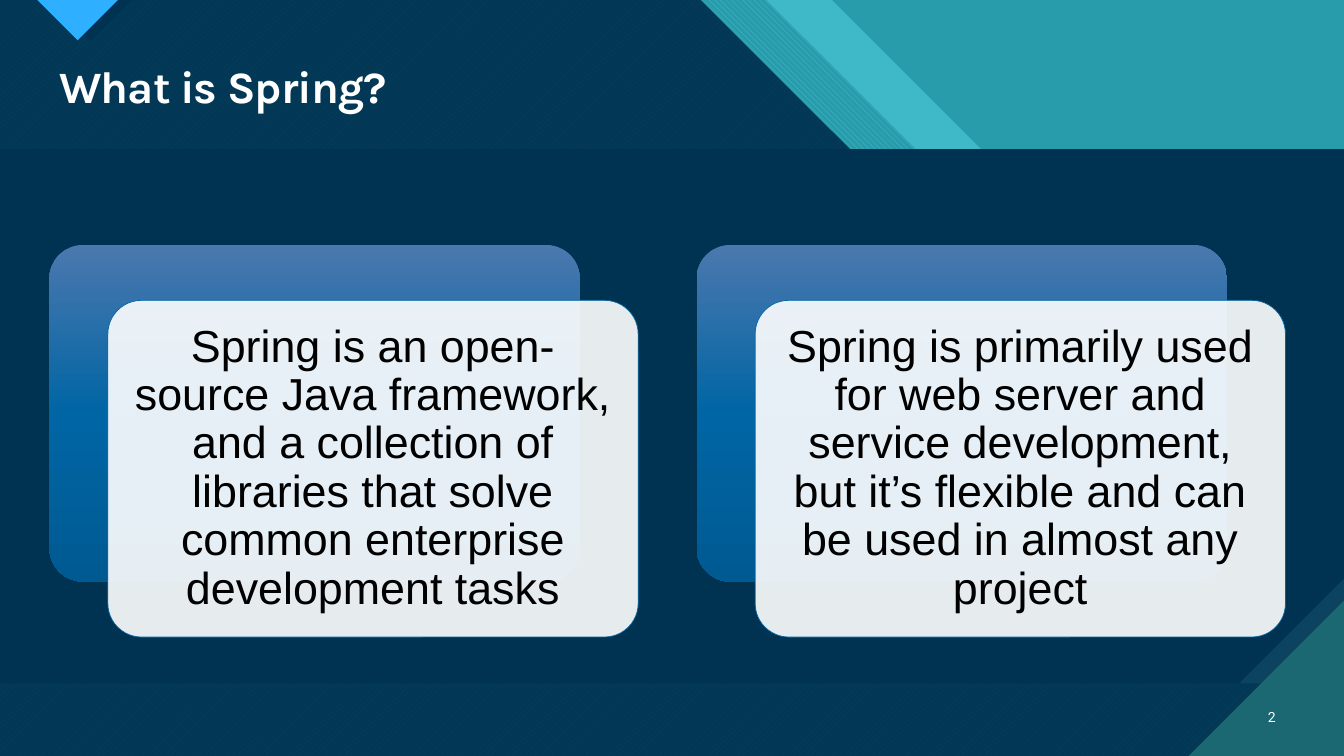
import copy

from pptx import Presentation
from pptx.dml.color import RGBColor
from pptx.enum import dml, shapes, text
from pptx.oxml.ns import qn
from pptx.util import Emu, Inches, Pt

TITLE = "What is Spring?"
PAGE_NUMBER = "2"
CARDS = [
    "Spring is an open-source Java framework, and a collection of libraries "
    "that solve common enterprise development tasks",
    "Spring is primarily used for web server and service development, "
    "but it’s flexible and can be used in almost any project",
]

COLORS = {
    "teal": "299CAB", "aqua": "47C3D3", "pine": "1B6872", "navy": "003352",
    "steel": "0C4360", "sky": "2FAFFF", "white": "FFFFFF", "black": "000000",
    "card_top": "4B78AE", "card_middle": "0065A4", "card_bottom": "005A92",
}
WIDTH, HEIGHT = 13.33, 7.5
BAND_TOP, BAND_HEIGHT, BAND_SNIP = 1.48, 5.3, 0.197
CARD_LEFT, CARD_TOP, CARD_PITCH = 0.49, 2.43, 6.42
CARD_WIDTH, CARD_HEIGHT = 5.26, 3.34
PANEL_SHIFT = (0.58, 0.55)


def rgb(name):
    return RGBColor.from_string(COLORS[name])


def fill_solid(shape, color, opacity=100):
    shape.fill.solid()
    shape.fill.fore_color.rgb = rgb(color)
    if opacity < 100:
        tint = shape._element.spPr.find(qn("a:solidFill"))[0]
        alpha = tint.makeelement(qn("a:alpha"), {"val": str(opacity * 1000)})
        tint.append(alpha)


def fill_pattern(shape, pattern, front, back):
    shape.fill.patterned()
    shape.fill.pattern = pattern
    shape.fill.fore_color.rgb = rgb(front)
    shape.fill.back_color.rgb = rgb(back)


def fill_card_gradient(shape):
    shape.fill.gradient()
    shape.fill.gradient_angle = 270
    stop_list = shape._element.spPr.find(qn("a:gradFill")).find(qn("a:gsLst"))
    stop_list.append(copy.deepcopy(stop_list[0]))
    for stop, place, color in zip(shape.fill.gradient_stops, (0, 0.5, 1),
                                  ("card_top", "card_middle", "card_bottom")):
        stop.position = place
        stop.color.rgb = rgb(color)


def add_plain(slide, kind, left, top, width, height):
    """Add a preset shape without outline or shadow."""
    shape = slide.shapes.add_shape(
        kind, *(Inches(v) for v in (left, top, width, height)))
    shape.shadow.inherit = False
    shape.line.fill.background()
    return shape


def add_polygon(slide, points):
    corners = [(Inches(x), Inches(y)) for x, y in points]
    builder = slide.shapes.build_freeform(*corners[0], scale=1.0)
    builder.add_line_segments(corners[1:], close=True)
    shape = builder.convert_to_shape(Emu(0), Emu(0))
    shape.shadow.inherit = False
    shape.line.fill.background()
    return shape


def add_slanted_layer(slide, edge, drop=2.97):
    """Cover the slide left of a 45 degree edge that starts at the top."""
    return add_polygon(slide, [(0, 0), (edge, 0), (edge + drop, drop),
                               (WIDTH, drop), (WIDTH, HEIGHT), (0, HEIGHT)])


def write(paragraph, words, font, size, color):
    run = paragraph.add_run()
    run.text = words
    run.font.name = font
    run.font.size = Pt(size)
    run.font.color.rgb = rgb(color)
    return run


def add_backdrop(slide):
    slide.background.fill.solid()
    slide.background.fill.fore_color.rgb = rgb("aqua")
    fill_solid(add_plain(slide, shapes.MSO_SHAPE.RECTANGLE,
                         0, 0, WIDTH, HEIGHT), "teal")
    fill_solid(add_slanted_layer(slide, 8.25), "aqua", 74)
    fill_pattern(add_slanted_layer(slide, 7.6),
                 dml.MSO_PATTERN.WIDE_DOWNWARD_DIAGONAL, "aqua", "teal")
    fill_pattern(add_slanted_layer(slide, 6.95),
                 dml.MSO_PATTERN.WIDE_UPWARD_DIAGONAL, "aqua", "pine")
    fill_solid(add_slanted_layer(slide, 6.95), "navy", 90)

    fill_solid(add_polygon(slide, [(0.48, 0), (1.31, 0), (0.9, 0.41)]), "navy")
    fill_solid(add_polygon(slide, [(0.37, 0), (1.17, 0), (0.77, 0.4)]), "sky")

    snip = BAND_SNIP * BAND_HEIGHT
    band_bottom = BAND_TOP + BAND_HEIGHT
    fill_solid(add_polygon(slide, [(WIDTH, band_bottom - snip),
                                   (WIDTH, band_bottom),
                                   (WIDTH - snip, band_bottom)]), "steel")
    fill_solid(add_polygon(slide, [(0, BAND_TOP), (WIDTH, BAND_TOP),
                                   (WIDTH, band_bottom - snip),
                                   (WIDTH - snip, band_bottom),
                                   (0, band_bottom)]), "navy")
    fill_solid(add_polygon(slide, [(11.79, HEIGHT), (WIDTH, HEIGHT),
                                   (WIDTH, 5.96)]), "pine")


def place_title(slide):
    title = slide.shapes.title
    slide.shapes._spTree.append(title._element)  # bring in front of the backdrop
    title.left, title.top = Inches(0.49), Inches(0.59)
    title.width, title.height = Inches(12.26), Inches(0.59)
    frame = title.text_frame
    frame.auto_size = text.MSO_AUTO_SIZE.NONE
    frame.vertical_anchor = text.MSO_ANCHOR.MIDDLE
    heading = frame.paragraphs[0]
    heading.alignment = text.PP_ALIGN.LEFT
    heading.line_spacing = 0.9
    run = write(heading, TITLE, "Karla", 32, "white")
    run.font.bold = True
    run._r.get_or_add_rPr().set("spc", "-70")


def add_page_number(slide):
    number = slide.shapes.add_textbox(Inches(12.31), Inches(6.91),
                                      Inches(0.44), Inches(0.4))
    frame = number.text_frame
    frame.word_wrap = True
    frame.vertical_anchor = text.MSO_ANCHOR.MIDDLE
    frame.paragraphs[0].alignment = text.PP_ALIGN.RIGHT
    write(frame.paragraphs[0], PAGE_NUMBER, "Roboto", 10, "white")


def add_card(slide, left, words):
    rounded = shapes.MSO_SHAPE.ROUNDED_RECTANGLE
    back = add_plain(slide, rounded, left, CARD_TOP, CARD_WIDTH, CARD_HEIGHT)
    panel = add_plain(slide, rounded, left + PANEL_SHIFT[0],
                      CARD_TOP + PANEL_SHIFT[1], CARD_WIDTH, CARD_HEIGHT)
    for layer in (back, panel):
        layer.adjustments[0] = 0.1
    fill_card_gradient(back)
    fill_solid(panel, "white", 90)
    panel.line.color.rgb = rgb("card_middle")
    panel.line.width = Pt(0.5)

    frame = panel.text_frame
    frame.word_wrap = True
    frame.vertical_anchor = text.MSO_ANCHOR.MIDDLE
    frame.margin_left = frame.margin_right = Inches(0.13)
    frame.margin_top = frame.margin_bottom = Inches(0.13)
    statement = frame.paragraphs[0]
    statement.alignment = text.PP_ALIGN.CENTER
    statement.line_spacing = 0.9
    write(statement, words, "Arial", 32, "black")


def main():
    deck = Presentation()
    deck.slide_width, deck.slide_height = Inches(WIDTH), Inches(HEIGHT)
    slide = deck.slides.add_slide(deck.slide_layouts[5])
    add_backdrop(slide)
    place_title(slide)
    add_page_number(slide)
    for index, words in enumerate(CARDS):
        add_card(slide, CARD_LEFT + index * CARD_PITCH, words)
    deck.save("out.pptx")


if __name__ == "__main__":
    main()
